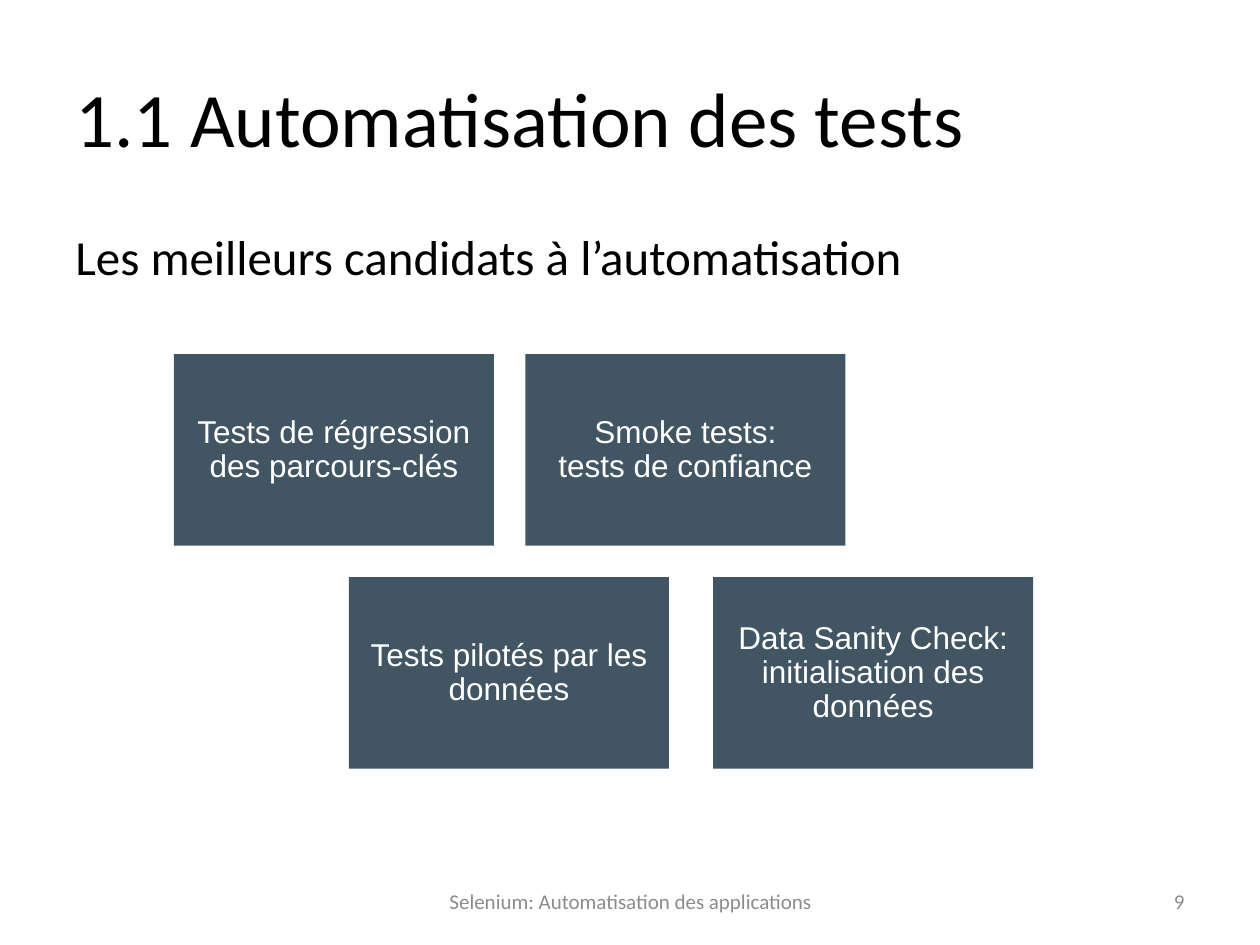
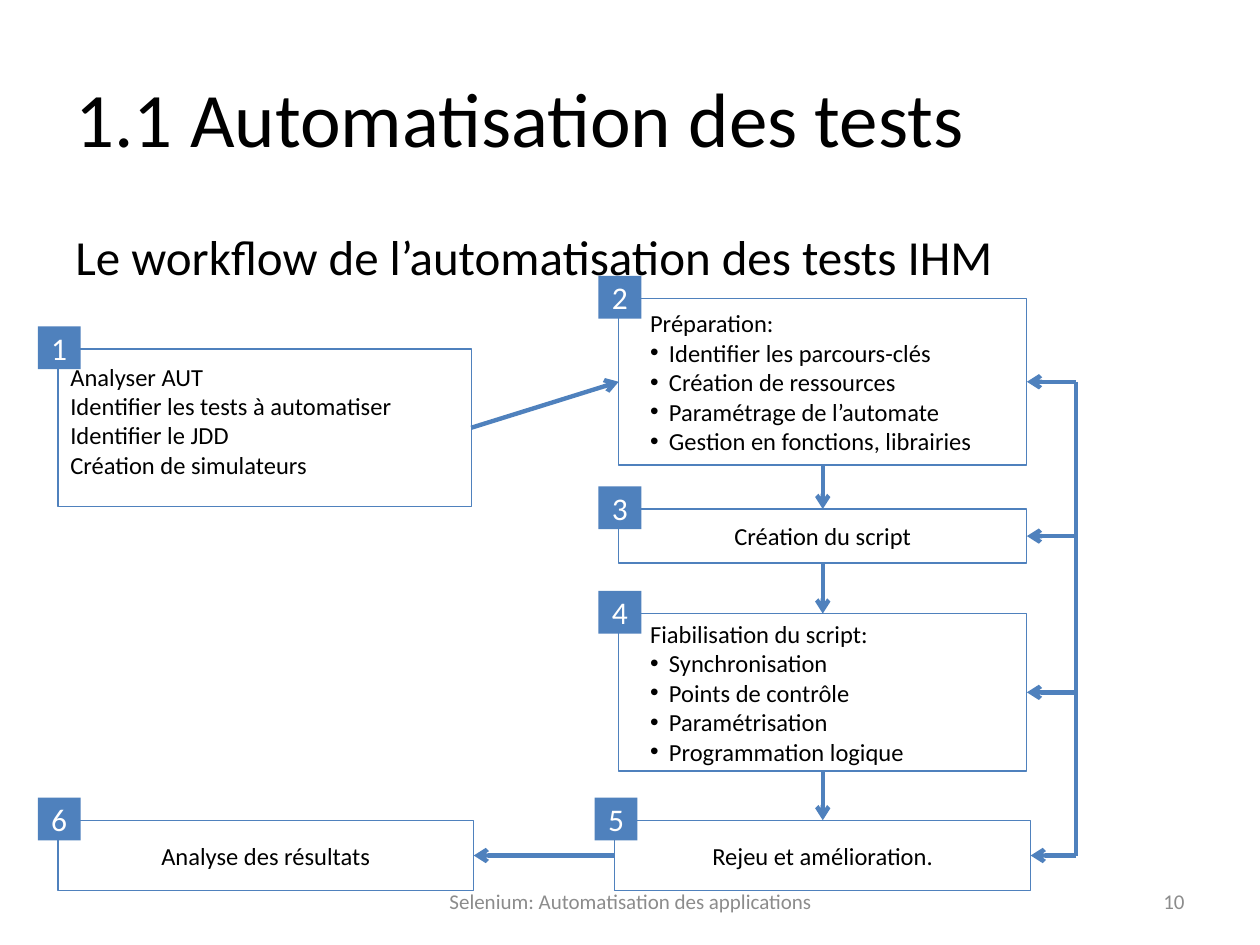
from lxml import etree
from pptx import Presentation
from pptx import util as u
from pptx.dml.color import RGBColor
from pptx.enum import shapes, text
from pptx.oxml.ns import qn

BLACK, WHITE, GREY = "000000", "FFFFFF", "8C8C8C"
BLUE, SLATE = "4F81BD", "425563"
LEFT, CENTER, RIGHT = text.PP_ALIGN.LEFT, text.PP_ALIGN.CENTER, text.PP_ALIGN.RIGHT
TOP, MIDDLE = text.MSO_ANCHOR.TOP, text.MSO_ANCHOR.MIDDLE
SIDE_TOP, SIDE_LEFT, SIDE_BOTTOM, SIDE_RIGHT = range(4)

TITLE = "1.1 Automatisation des tests"
FOOTER = "Selenium: Automatisation des applications"

CANDIDATES = {
    "number": 9,
    "subtitle": "Les meilleurs candidats à l’automatisation",
    "tile_size": (2.54, 1.52),
    "tile_rows": [
        (2.81, [(1.38, "Tests de régression des parcours-clés"),
                (4.17, "Smoke tests:\vtests de confiance")]),
        (4.58, [(2.77, "Tests pilotés par les données"),
                (5.66, "Data Sanity Check: initialisation des données")]),
    ],
}

WORKFLOW = {
    "number": 10,
    "subtitle": "Le workflow de l’automatisation des tests IHM",
    "steps": [
        {"area": (0.46, 2.77, 3.28, 1.25), "align": LEFT, "anchor": TOP,
         "lines": ["Analyser AUT", "Identifier les tests à automatiser",
                   "Identifier le JDD", "Création de simulateurs"]},
        {"area": (4.91, 2.37, 3.24, 1.32), "align": LEFT, "inset": 0.25,
         "lines": ["Préparation:"],
         "bullets": ["Identifier les parcours-clés", "Création de ressources",
                     "Paramétrage de l’automate", "Gestion en fonctions, librairies"]},
        {"area": (4.91, 4.04, 3.24, 0.43), "lines": ["Création du script"]},
        {"area": (4.91, 4.87, 3.24, 1.25), "align": LEFT, "inset": 0.25,
         "lines": ["Fiabilisation du script:"],
         "bullets": ["Synchronisation", "Points de contrôle",
                     "Paramétrisation", "Programmation logique"]},
        {"area": (4.88, 6.51, 3.3, 0.56), "lines": ["Rejeu et amélioration."]},
        {"area": (0.46, 6.51, 3.3, 0.56), "lines": ["Analyse des résultats"]},
    ],
    "flow": [
        (1, SIDE_RIGHT, 2, SIDE_LEFT),
        (2, SIDE_BOTTOM, 3, SIDE_TOP),
        (3, SIDE_BOTTOM, 4, SIDE_TOP),
        (4, SIDE_BOTTOM, 5, SIDE_TOP),
        (5, SIDE_LEFT, 6, SIDE_RIGHT),
    ],
    "feedback_steps": [2, 3, 4, 5],
    "feedback_x": 8.54,
    "badge_size": 0.34,
    "badge_offset": (-0.16, -0.18),
}


def color(value):
    return RGBColor.from_string(value)


def inches(values):
    return [u.Inches(value) for value in values]


def add_bullet(paragraph):
    properties = paragraph._p.get_or_add_pPr()
    properties.set("marL", str(u.Inches(0.15)))
    properties.set("indent", str(-u.Inches(0.15)))
    etree.SubElement(properties, qn("a:buFont"), typeface="Arial")
    etree.SubElement(properties, qn("a:buChar"), char="•")


def write(shape, lines, size, ink=BLACK, align=LEFT, anchor=MIDDLE, font="Calibri",
          insets=(0.1, 0.05, 0.1, 0.05), bullets=(), spacing=None):
    frame = shape.text_frame
    frame.word_wrap = True
    frame.vertical_anchor = anchor
    (frame.margin_left, frame.margin_top,
     frame.margin_right, frame.margin_bottom) = inches(insets)
    for index, line in enumerate([*lines, *bullets]):
        paragraph = frame.add_paragraph() if index else frame.paragraphs[0]
        paragraph.text = line
        paragraph.alignment = align
        if spacing:
            paragraph.line_spacing = spacing
        if index >= len(lines):
            add_bullet(paragraph)
        paragraph.font.size = u.Pt(size)
        paragraph.font.name = font
        paragraph.font.color.rgb = color(ink)


def add_label(slide, area, line, size, **style):
    write(slide.shapes.add_textbox(*inches(area)), [line], size, **style)


def add_box(slide, area, fill=None, outline=None):
    shape = slide.shapes.add_shape(shapes.MSO_SHAPE.RECTANGLE, *inches(area))
    shape.shadow.inherit = False
    if fill:
        shape.fill.solid()
        shape.fill.fore_color.rgb = color(fill)
    else:
        shape.fill.background()
    if outline:
        shape.line.color.rgb = color(outline)
        shape.line.width = u.Pt(0.75)
    else:
        shape.line.fill.background()
    return shape


def add_line(slide, start=(0, 0), end=(0, 0), arrow=True):
    connector = slide.shapes.add_connector(
        shapes.MSO_CONNECTOR.STRAIGHT, *inches((*start, *end)))
    connector.line.color.rgb = color(BLUE)
    connector.line.width = u.Pt(2.5)
    if arrow:
        etree.SubElement(connector.line._get_or_add_ln(), qn("a:tailEnd"), type="arrow")
    etree.SubElement(connector._element.spPr, qn("a:effectLst"))
    return connector


def add_base_slide(presentation, content):
    slide = presentation.slides.add_slide(presentation.slide_layouts[6])
    add_label(slide, (0.5, 0.3, 9, 1.25), TITLE, 44)
    add_label(slide, (0.5, 1.75, 9.22, 4.95), content["subtitle"], 28, anchor=TOP)
    add_label(slide, (7.17, 6.95, 2.33, 0.4), str(content["number"]), 12,
              ink=GREY, align=RIGHT)
    add_label(slide, (3.42, 6.95, 3.17, 0.4), FOOTER, 12, ink=GREY, align=CENTER)
    return slide


def build_candidates(presentation):
    slide = add_base_slide(presentation, CANDIDATES)
    for top, tiles in CANDIDATES["tile_rows"]:
        for left, label in tiles:
            tile = add_box(slide, (left, top, *CANDIDATES["tile_size"]), fill=SLATE)
            write(tile, [label], 18, ink=WHITE, align=CENTER, font="Arial",
                  insets=[0.07] * 4, spacing=0.9)


def build_workflow(presentation):
    slide = add_base_slide(presentation, WORKFLOW)
    steps = WORKFLOW["steps"]
    boxes = {}
    for number, step in enumerate(steps, 1):
        boxes[number] = add_box(slide, step["area"], outline=BLUE)
        bullets = step.get("bullets", [])
        vertical = 0.02 if bullets else 0.1
        write(boxes[number], step["lines"], 14, align=step.get("align", CENTER),
              anchor=step.get("anchor", MIDDLE), bullets=bullets,
              insets=(step.get("inset", 0.1), vertical, 0.1, vertical))

    for source, source_side, target, target_side in WORKFLOW["flow"]:
        arrow = add_line(slide)
        arrow.begin_connect(boxes[source], source_side)
        arrow.end_connect(boxes[target], target_side)

    rail_x = WORKFLOW["feedback_x"]
    middles = []
    for number in WORKFLOW["feedback_steps"]:
        left, top, width, height = steps[number - 1]["area"]
        middle = top + height / 2
        middles.append(middle)
        arrow = add_line(slide, (rail_x, middle), (left + width, middle))
        arrow.end_connect(boxes[number], SIDE_RIGHT)
    add_line(slide, (rail_x, middles[0]), (rail_x, middles[-1]), arrow=False)

    size = WORKFLOW["badge_size"]
    shift_x, shift_y = WORKFLOW["badge_offset"]
    for number, step in enumerate(steps, 1):
        left, top = step["area"][:2]
        badge = add_box(slide, (left + shift_x, top + shift_y, size, size), fill=BLUE)
        write(badge, [str(number)], 18, ink=WHITE, align=CENTER, insets=[0] * 4)


def main():
    presentation = Presentation()
    presentation.slide_width = u.Inches(10)
    presentation.slide_height = u.Inches(7.5)
    build_candidates(presentation)
    build_workflow(presentation)
    presentation.save("out.pptx")


if __name__ == "__main__":
    main()
